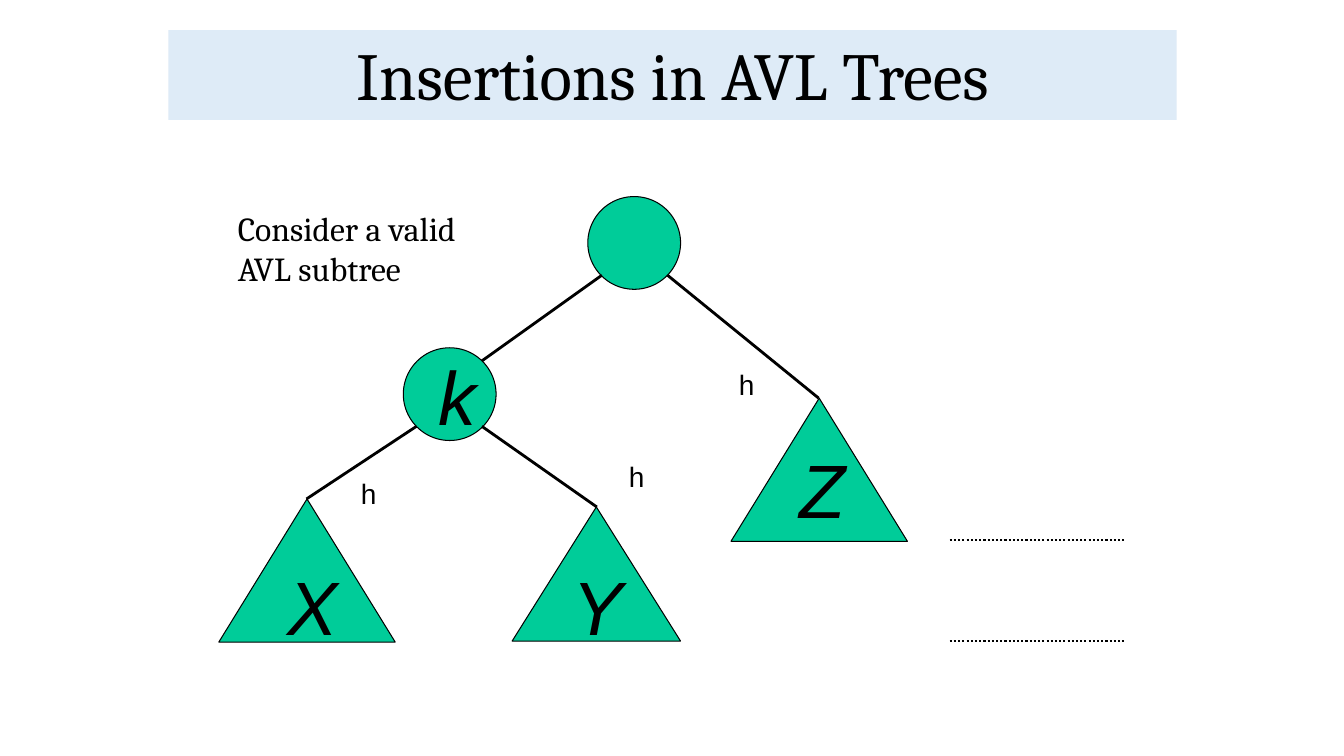
from typing import NamedTuple

from lxml import etree
from pptx import Presentation
from pptx.dml.color import RGBColor
from pptx.enum.dml import MSO_LINE
from pptx.enum.shapes import MSO_CONNECTOR, MSO_SHAPE
from pptx.enum.text import MSO_ANCHOR, PP_ALIGN
from pptx.oxml.ns import qn
from pptx.util import Inches, Pt

BLACK = RGBColor(0x00, 0x00, 0x00)
GREEN = RGBColor(0x00, 0xCC, 0x99)
PALE_BLUE = RGBColor(0xDE, 0xEB, 0xF7)
CIRCLE, TRIANGLE, RECTANGLE = MSO_SHAPE.OVAL, MSO_SHAPE.ISOSCELES_TRIANGLE, MSO_SHAPE.RECTANGLE
STRAIGHT = MSO_CONNECTOR.STRAIGHT
DOTTED = MSO_LINE.ROUND_DOT
CENTER, BOTTOM = PP_ALIGN.CENTER, MSO_ANCHOR.BOTTOM


class Node(NamedTuple):
    kind: MSO_SHAPE
    left: float
    top: float
    width: float
    height: float


class Line(NamedTuple):
    start: tuple[float, float]
    end: tuple[float, float]
    weight: float = 2
    dash: MSO_LINE | None = None


class Label(NamedTuple):
    lines: tuple[str, ...]
    left: float
    top: float
    width: float
    height: float
    font: str
    size: int
    italic: bool = False
    wrap: bool = False
    margin_top: float = 0.05


def node_name(letter: str, left: float, top: float) -> Label:
    return Label((letter,), left, top, 0.56, 1, "Arial", 54, True, True, 0.11)


def height_label(left: float, top: float) -> Label:
    return Label(("h",), left, top, 0.36, 0.43, "Arial", 20)


NODES = [
    Node(CIRCLE, 5.83, 1.95, 0.92, 0.92),
    Node(CIRCLE, 4, 3.45, 0.92, 0.92),
    Node(TRIANGLE, 2.17, 4.95, 1.75, 1.42),
    Node(TRIANGLE, 5.08, 5.03, 1.67, 1.33),
    Node(TRIANGLE, 7.25, 3.95, 1.75, 1.42),
]
LINES = [
    Line((5.97, 2.73), (4.78, 3.58)),
    Line((6.62, 2.73), (8.12, 3.95)),
    Line((4.13, 4.23), (3.04, 4.95)),
    Line((4.78, 4.23), (5.92, 5.03)),
    # Depth markers
    *(Line((9.42, y), (11.17, y), 1.5, DOTTED) for y in (5.36, 6.36)),
]
LABELS = [
    node_name("k", 4.25, 3.36),
    node_name("X", 2.75, 5.45),
    node_name("Y", 5.58, 5.45),
    node_name("Z", 7.83, 4.28),
    Label(("Consider a valid", "AVL subtree"), 2.26, 2.01, 2.59, 0.91, "Cambria", 24),
    height_label(7.23, 3.6),
    height_label(3.48, 4.68),
    height_label(6.14, 4.51),
]


def add_title(slide, text: str) -> None:
    shape = slide.shapes.add_shape(RECTANGLE, Inches(1.67), Inches(0.3), Inches(10), Inches(0.89))
    shape.shadow.inherit = False
    shape.fill.solid()
    shape.fill.fore_color.rgb = PALE_BLUE
    shape.line.fill.background()
    shape.text_frame.vertical_anchor = BOTTOM
    shape.text_frame.word_wrap = True
    paragraph = shape.text_frame.paragraphs[0]
    paragraph.text = text
    paragraph.alignment = CENTER
    paragraph.line_spacing = 0.9
    paragraph.font.name = "Cambria"
    paragraph.font.size = Pt(48)
    paragraph.font.color.rgb = BLACK


def add_node(slide, node: Node) -> None:
    shape = slide.shapes.add_shape(node.kind, *map(Inches, node[1:]))
    shape.shadow.inherit = False
    shape.fill.solid()
    shape.fill.fore_color.rgb = GREEN
    shape.line.color.rgb = BLACK
    shape.line.width = Pt(0.75)


def add_line(slide, line: Line) -> None:
    connector = slide.shapes.add_connector(STRAIGHT, *map(Inches, line.start + line.end))
    connector.line.color.rgb = BLACK
    connector.line.width = Pt(line.weight)
    if line.dash is not None:
        connector.line.dash_style = line.dash
    etree.SubElement(connector.element.spPr, qn("a:effectLst"))


def add_label(slide, label: Label) -> None:
    box = slide.shapes.add_textbox(*map(Inches, label[1:5]))
    frame = box.text_frame
    frame.word_wrap = label.wrap
    frame.margin_top = Inches(label.margin_top)
    frame.text = "\n".join(label.lines)
    for paragraph in frame.paragraphs:
        paragraph.font.name = label.font
        paragraph.font.size = Pt(label.size)
        paragraph.font.italic = label.italic
        paragraph.font.color.rgb = BLACK


def main() -> None:
    presentation = Presentation()
    presentation.slide_width = Inches(13.33)
    presentation.slide_height = Inches(7.5)
    slide = presentation.slides.add_slide(presentation.slide_layouts[6])

    add_title(slide, "Insertions in AVL Trees")
    # Tree, edges and labels
    for node in NODES:
        add_node(slide, node)
    for line in LINES:
        add_line(slide, line)
    for label in LABELS:
        add_label(slide, label)

    presentation.save("out.pptx")


if __name__ == "__main__":
    main()
